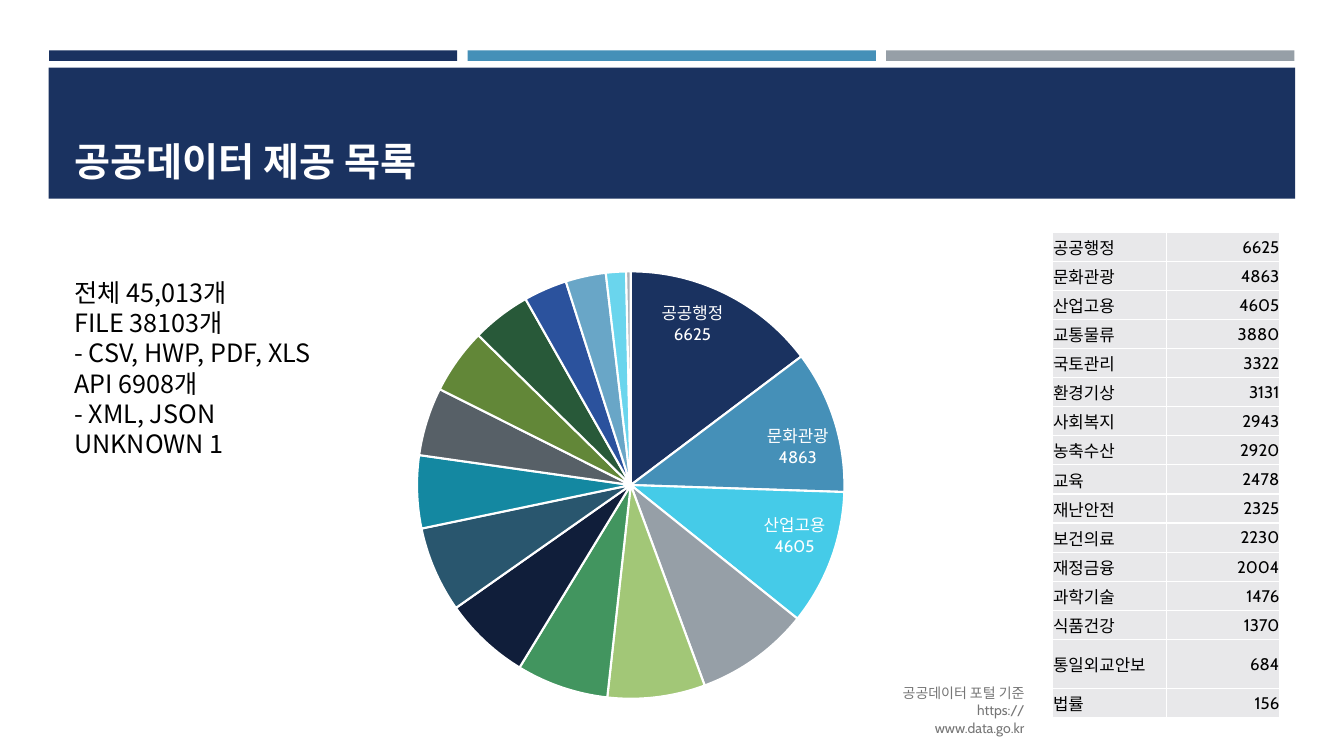
import pptx
import pptx.util
import pptx.dml.color
import pptx.chart.data
import pptx.enum.chart
import pptx.enum.shapes
import pptx.enum.text
import pptx.oxml

Pt = pptx.util.Pt
LEFT = pptx.enum.text.PP_ALIGN.LEFT
RIGHT = pptx.enum.text.PP_ALIGN.RIGHT
NAVY, BLUE, GRAY, WHITE, BLACK = "1A3260", "4590B8", "969FA7", "FFFFFF", "000000"

DATASETS = [
    ("공공행정", 6625, NAVY),
    ("문화관광", 4863, BLUE),
    ("산업고용", 4605, "45CBE8"),
    ("교통물류", 3880, GRAY),
    ("국토관리", 3322, "A2C777"),
    ("환경기상", 3131, "42955F"),
    ("사회복지", 2943, "101E3A"),
    ("농축수산", 2920, "29566E"),
    ("교육", 2478, "1488A1"),
    ("재난안전", 2325, "576067"),
    ("보건의료", 2230, "628738"),
    ("재정금융", 2004, "285939"),
    ("과학기술", 1476, "2B529D"),
    ("식품건강", 1370, "69A6C7"),
    ("통일외교안보", 684, "6AD5ED"),
    ("법률", 156, "ABB2B9"),
]
SUMMARY = [
    "전체 45,013개",
    "FILE 38103개",
    "- CSV, HWP, PDF, XLS",
    "API 6908개",
    "- XML, JSON",
    "UNKNOWN 1",
]


def rgb(value):
    return pptx.dml.color.RGBColor.from_string(value)


def style_font(font, size, color, name="Cabin", bold=False):
    font.size = Pt(size)
    font.name = name
    font.bold = bold
    font.color.rgb = rgb(color)


def write(tf, text, size=12, color=BLACK, name="Cabin", bold=False, align=LEFT, spacing=None):
    for i, line in enumerate(text.split("\n")):
        p = tf.add_paragraph() if i else tf.paragraphs[0]
        p.alignment = align
        if spacing:
            p.line_spacing = Pt(spacing)
        r = p.add_run()
        r.text = line
        style_font(r.font, size, color, name, bold)


def add_bar(s, left, top, width, height, color):
    sp = s.shapes.add_shape(
        pptx.enum.shapes.MSO_SHAPE.RECTANGLE, Pt(left), Pt(top), Pt(width), Pt(height))
    sp.shadow.inherit = False
    sp.fill.solid()
    sp.fill.fore_color.rgb = rgb(color)
    sp.line.fill.background()


def add_text(s, left, top, width, height, text, **fmt):
    sp = s.shapes.add_textbox(Pt(left), Pt(top), Pt(width), Pt(height))
    sp.text_frame.word_wrap = True
    write(sp.text_frame, text, **fmt)


def place_title(s, text):
    sp = s.shapes.title
    sp.left, sp.top, sp.width, sp.height = Pt(46), Pt(55.4), Pt(868), Pt(80)
    s.shapes._spTree.append(sp._element)
    tf = sp.text_frame
    tf.auto_size = pptx.enum.text.MSO_AUTO_SIZE.NONE
    tf.vertical_anchor = pptx.enum.text.MSO_ANCHOR.BOTTOM
    write(tf, text, size=28, color=WHITE, bold=True)


def set_plot_layout(chart, x, y, w, h):
    plot_area = chart._chartSpace.chart.plotArea
    for old in plot_area.xpath("c:layout"):
        plot_area.remove(old)
    parts = "".join(f'<c:{k} val="{v}"/>' for k, v in [
        ("layoutTarget", "inner"), ("xMode", "edge"), ("yMode", "edge"),
        ("x", x), ("y", y), ("w", w), ("h", h)])
    plot_area.insert(0, pptx.oxml.parse_xml(
        f'<c:layout {pptx.oxml.ns.nsdecls("c")}>'
        f"<c:manualLayout>{parts}</c:manualLayout></c:layout>"))


def label_slice(series, index):
    label = series.points[index].data_label
    style_font(label.font, 12, WHITE)
    label.position = pptx.enum.chart.XL_LABEL_POSITION.INSIDE_END
    d_lbl = series._element.xpath(f'c:dLbls/c:dLbl[c:idx/@val="{index}"]')[0]
    d_lbl.xpath("c:showCatName")[0].set("val", "1")
    d_lbl.append(pptx.oxml.parse_xml(
        f'<c:separator {pptx.oxml.ns.nsdecls("c")}>\n</c:separator>'))


def add_pie(s, left, top, width, height):
    data = pptx.chart.data.CategoryChartData()
    data.categories = [name for name, _, _ in DATASETS]
    data.add_series("Series 1", [count for _, count, _ in DATASETS])
    chart = s.shapes.add_chart(
        pptx.enum.chart.XL_CHART_TYPE.PIE,
        Pt(left), Pt(top), Pt(width), Pt(height), data).chart
    chart.has_legend = False
    chart.has_title = False
    style_font(chart.font, 10, BLACK)
    set_plot_layout(chart, 0.2, 0.11, 0.53, 0.86)
    chart.plots[0].vary_by_categories = False
    series = chart.plots[0].series[0]
    series.data_labels.show_value = False
    for i, (_, _, color) in enumerate(DATASETS):
        fmt = series.points[i].format
        fmt.fill.solid()
        fmt.fill.fore_color.rgb = rgb(color)
        fmt.line.color.rgb = rgb(WHITE)
        fmt.line.width = Pt(1.5)
    for i in range(3):
        label_slice(series, i)


def fill_cell(cell, text, align):
    cell.margin_left = cell.margin_right = cell.margin_top = Pt(0.5)
    cell.margin_bottom = 0
    cell.vertical_anchor = pptx.enum.text.MSO_ANCHOR.MIDDLE
    write(cell.text_frame, text, align=align)
    tc_pr = cell._tc.get_or_add_tcPr()
    for side in ("lnL", "lnR", "lnT", "lnB"):
        tc_pr.append(pptx.oxml.parse_xml(
            f'<a:{side} {pptx.oxml.ns.nsdecls("a")} w="{Pt(1)}"><a:solidFill>'
            f'<a:srgbClr val="{WHITE}"/></a:solidFill></a:{side}>'))
    cell.fill.solid()
    cell.fill.fore_color.rgb = rgb("E8E8EA")


def add_counts_table(s, left, top, col_width, row_height, tall_height):
    heights = [tall_height if name == "통일외교안보" else row_height for name, _, _ in DATASETS]
    table = s.shapes.add_table(
        len(DATASETS), 2, Pt(left), Pt(top), Pt(2 * col_width), Pt(sum(heights))).table
    table.first_row = False
    table.horz_banding = False
    for col in table.columns:
        col.width = Pt(col_width)
    for i, (name, count, _) in enumerate(DATASETS):
        table.rows[i].height = Pt(heights[i])
        fill_cell(table.cell(i, 0), name, LEFT)
        fill_cell(table.cell(i, 1), str(count), RIGHT)


def main():
    prs = pptx.Presentation()
    prs.slide_width, prs.slide_height = Pt(960), Pt(540)
    s = prs.slides.add_slide(prs.slide_layouts[5])
    for i, color in enumerate([NAVY, BLUE, GRAY]):
        add_bar(s, 35 + 299 * i, 36, 291.6, 7.5, color)
    add_bar(s, 34.8, 48.4, 890.4, 93.6, NAVY)
    add_text(s, 628, 484.6, 110.8, 31.5, "공공데이터 포털 기준\nhttps://www.data.go.kr",
             size=10, color="767676", align=RIGHT, spacing=12.5)
    add_text(s, 46, 194.4, 188.6, 138.2, "\n".join(SUMMARY),
             size=18, name="Noto Sans CJK KR", spacing=21.6)
    add_pie(s, 180, 154.8, 581.8, 355)
    add_counts_table(s, 751.7, 165.8, 81.3, 20.8, 35.3)
    place_title(s, "공공데이터 제공 목록")
    prs.save("out.pptx")


if __name__ == "__main__":
    main()
